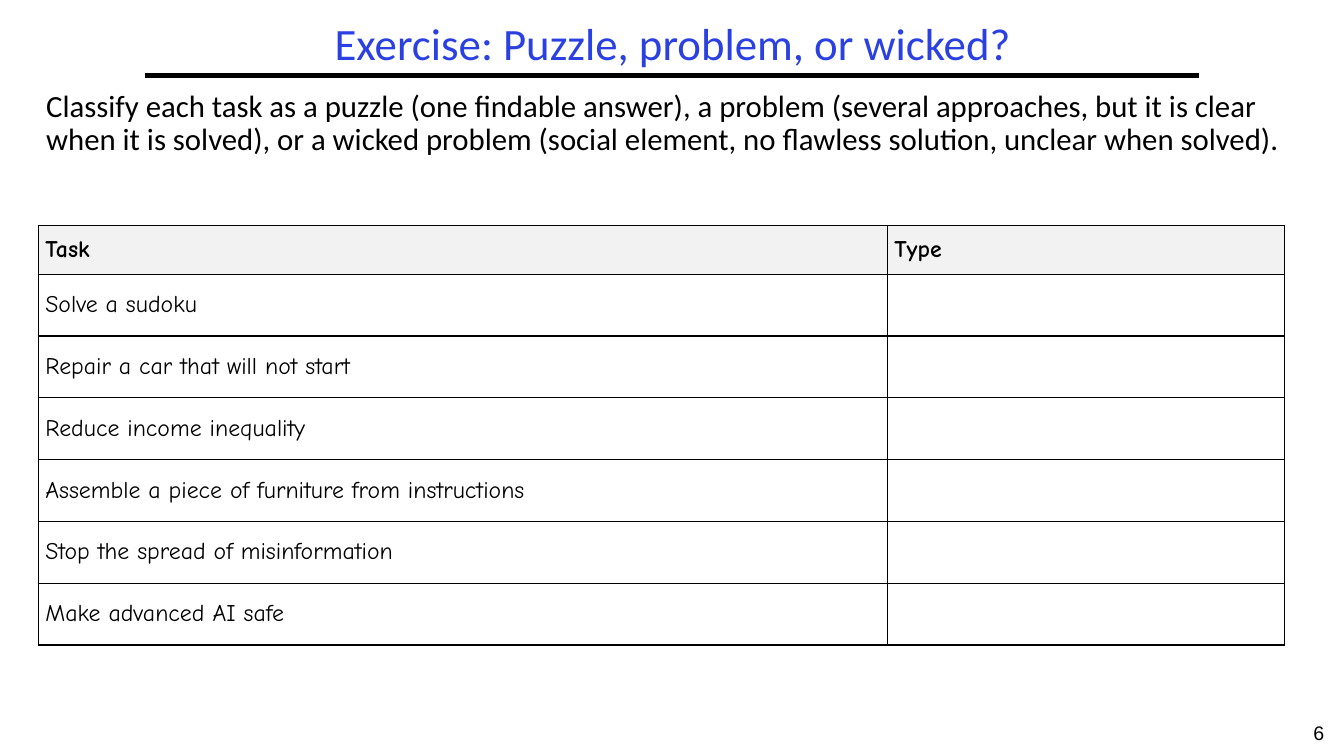
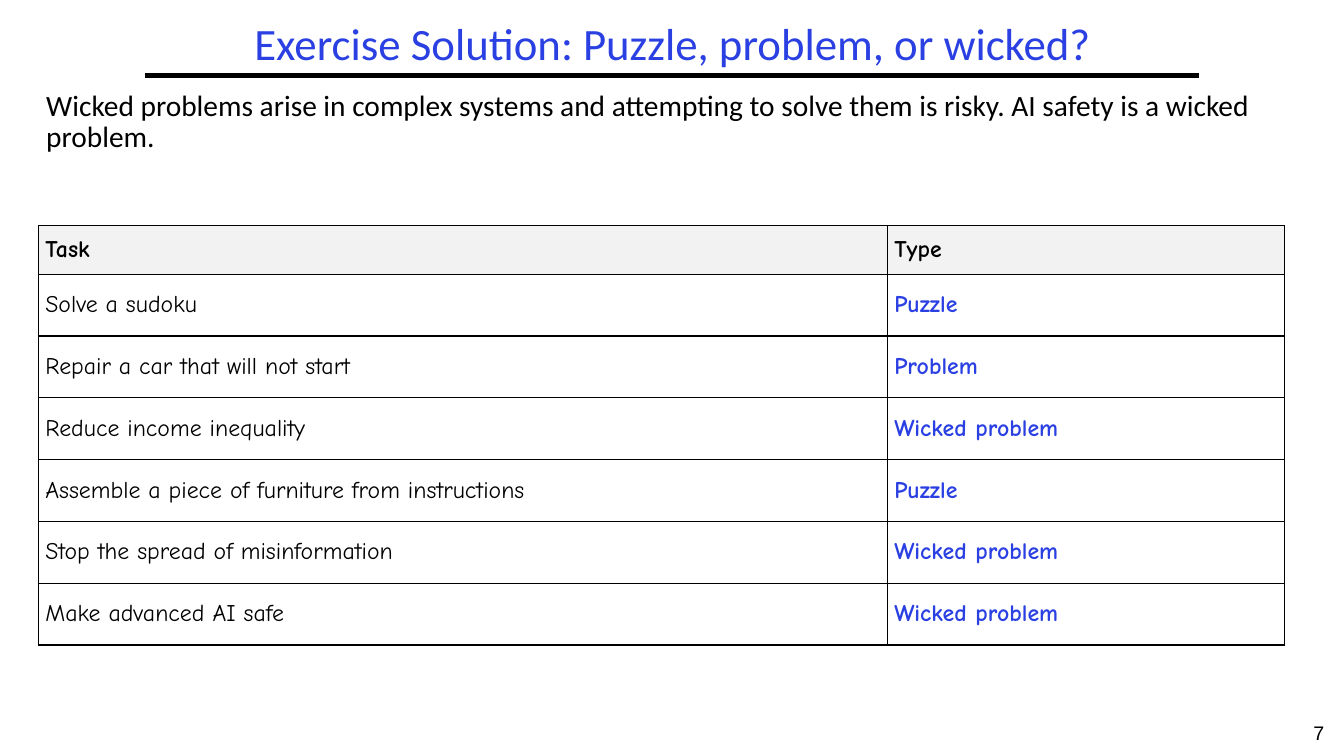
from dataclasses import dataclass

from lxml import etree
from pptx import Presentation
from pptx.dml.color import RGBColor
from pptx.enum.shapes import MSO_CONNECTOR
from pptx.enum.text import MSO_ANCHOR, MSO_AUTO_SIZE, PP_ALIGN
from pptx.oxml.ns import qn
from pptx.util import Inches, Pt

LEFT, MID = PP_ALIGN.LEFT, PP_ALIGN.CENTER
TOP, CENTER = MSO_ANCHOR.TOP, MSO_ANCHOR.MIDDLE
FIXED = MSO_AUTO_SIZE.NONE
STRAIGHT = MSO_CONNECTOR.STRAIGHT


@dataclass(frozen=True)
class Theme:
    ink: str = "000000"
    blue: str = "2A40E2"
    head: str = "F2F2F2"
    sans: str = "Calibri"
    hand: str = "Comic Neue"
    plain: str = "Arial"
    title: int = 32
    cell: int = 17
    page: int = 14


T = Theme()

# Content
HEADS = ("Task", "Type")
TASKS = (
    ("Solve a sudoku", "Puzzle"),
    ("Repair a car that will not start", "Problem"),
    ("Reduce income inequality", "Wicked problem"),
    ("Assemble a piece of furniture from instructions", "Puzzle"),
    ("Stop the spread of misinformation", "Wicked problem"),
    ("Make advanced AI safe", "Wicked problem"),
)
SLIDES = (
    dict(page=6, size=22, solved=False,
         title="Exercise: Puzzle, problem, or wicked?",
         lead="Classify each task as a puzzle (one findable answer), a problem "
              "(several approaches, but it is clear when it is solved), or a "
              "wicked problem (social element, no flawless solution, unclear "
              "when solved)."),
    dict(page=7, size=21, solved=True,
         title="Exercise Solution: Puzzle, problem, or wicked?",
         lead="Wicked problems arise in complex systems and attempting to "
              "solve them is risky. AI safety is a wicked problem."),
)

# Layout in inches: left, top, width, height
WIDE, HIGH = 13.33, 7.5
TITLE = (1.44, 0.17, 10.47, 0.58)
RULE = (1.44, 0.75, 11.89, 0.75)
LEAD = (0.36, 0.85, 12.58, 1.39)
GRID = (0.38, 2.24, 12.36, 4.16)
PAGE = (WIDE - 0.5, HIGH - 0.4, 0.5, 0.4)
COLS = (8.42, GRID[2] - 8.42)
HEAD = 0.48
ROW = (GRID[3] - HEAD) / len(TASKS)


def inches(box):
    return [Inches(n) for n in box]


def write(frame, text, size, font=T.sans, color=T.ink, bold=False,
          align=LEFT, space=1.0):
    """Put one formatted paragraph into a text frame."""
    para = frame.paragraphs[0]
    para.text = text
    para.alignment = align
    para.line_spacing = space
    para.space_before = Pt(0)
    para.font.size = Pt(size)
    para.font.name = font
    para.font.bold = bold
    para.font.color.rgb = RGBColor.from_string(color)


def set_up(shape, anchor=TOP):
    frame = shape.text_frame
    frame.word_wrap = True
    frame.auto_size = FIXED
    frame.vertical_anchor = anchor
    return frame


def add_text(slide, box, text, size, **style):
    write(set_up(slide.shapes.add_textbox(*inches(box))), text, size, **style)


def add_frame(slide, title, page):
    """Title, rule and page number shared by every slide."""
    rule = slide.shapes.add_connector(STRAIGHT, *inches(RULE))
    rule.line.color.rgb = RGBColor.from_string(T.ink)
    rule.line.width = Pt(3)
    etree.SubElement(rule._element.spPr, qn("a:effectLst"))
    add_text(slide, PAGE, str(page), T.page, font=T.plain, align=MID)
    head = slide.shapes.title
    head.left, head.top, head.width, head.height = inches(TITLE)
    write(set_up(head, CENTER), title, T.title, color=T.blue,
          align=MID, space=0.9)


def add_edges(cell):
    props = cell._tc.get_or_add_tcPr()
    for spot, side in enumerate(("lnL", "lnR", "lnT", "lnB")):
        edge = etree.Element(qn("a:" + side), w=str(Pt(1)))
        fill = etree.SubElement(edge, qn("a:solidFill"))
        etree.SubElement(fill, qn("a:srgbClr"), val=T.ink)
        props.insert(spot, edge)


def add_grid(slide, solved):
    rows = (HEADS,) + TASKS
    table = slide.shapes.add_table(len(rows), len(COLS), *inches(GRID)).table
    table.horz_banding = False
    for col, width in zip(table.columns, COLS):
        col.width = Inches(width)
    for r, row in enumerate(rows):
        top = r == 0
        table.rows[r].height = Inches(HEAD if top else ROW)
        for c, text in enumerate(row):
            cell = table.cell(r, c)
            cell.margin_left = cell.margin_right = Inches(0.07)
            cell.margin_top = cell.margin_bottom = Inches(0.03)
            cell.vertical_anchor = CENTER
            if top:
                cell.fill.solid()
                cell.fill.fore_color.rgb = RGBColor.from_string(T.head)
            else:
                cell.fill.background()
            add_edges(cell)
            answer = c == 1 and not top
            if solved or not answer:
                write(cell.text_frame, text, T.cell, font=T.hand,
                      color=T.blue if answer else T.ink, bold=top or answer)


def main():
    deck = Presentation()
    deck.slide_width, deck.slide_height = Inches(WIDE), Inches(HIGH)
    layout = deck.slide_layouts.get_by_name("Title Only")
    for item in SLIDES:
        slide = deck.slides.add_slide(layout)
        add_frame(slide, item["title"], item["page"])
        add_text(slide, LEAD, item["lead"], item["size"], space=0.9)
        add_grid(slide, item["solved"])
    deck.save("out.pptx")


if __name__ == "__main__":
    main()
